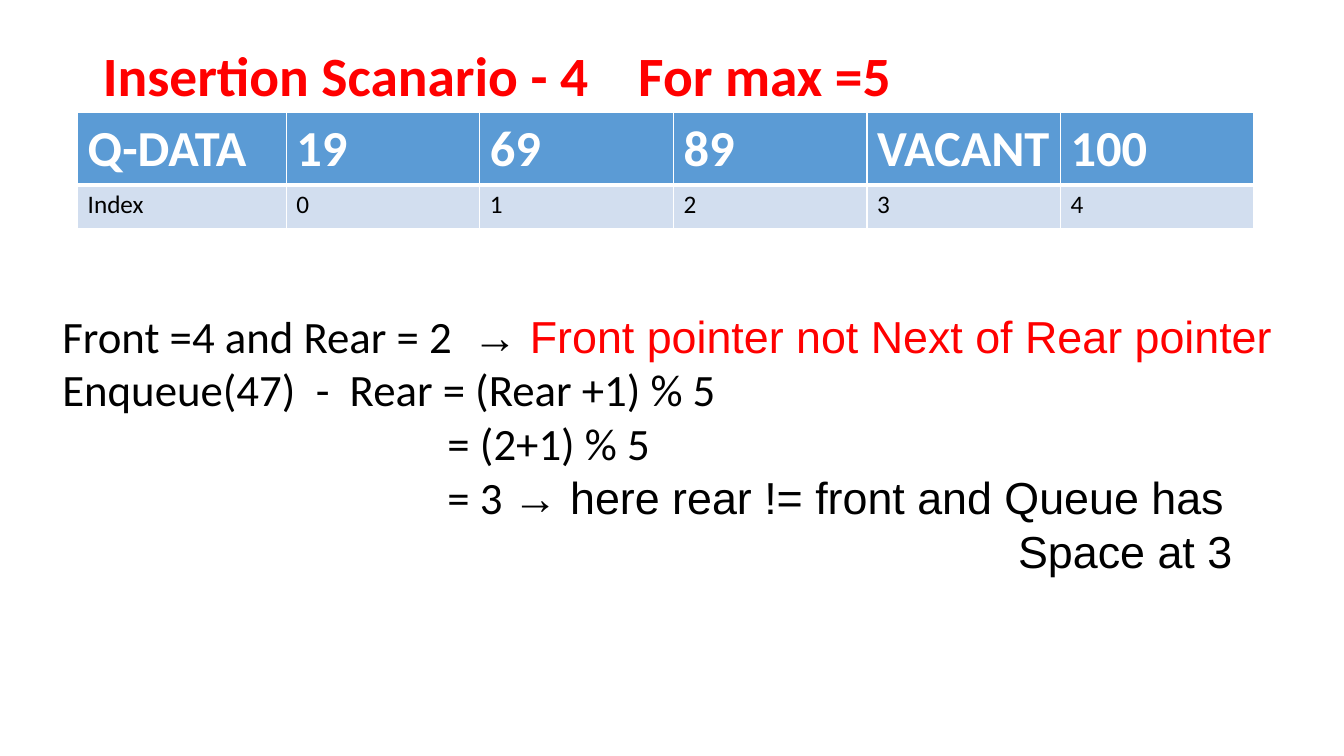
"""Build a slide on inserting into a circular queue."""
from lxml.etree import SubElement
from pptx import Presentation
from pptx.dml.color import RGBColor
from pptx.enum.text import MSO_ANCHOR, MSO_AUTO_SIZE, PP_ALIGN
from pptx.oxml.ns import qn
from pptx.util import Inches, Pt

COLORS = {"red": "FF0000", "black": "000000", "white": "FFFFFF",
          "header": "5B9BD5", "band": "D2DEEF"}
TITLE = "Insertion Scanario - 4\tFor max =5"
TITLE_TAB = 5.31
QUEUE = [["Q-DATA", "19", "69", "89", "VACANT", "100"],
         ["Index", "0", "1", "2", "3", "4"]]
COLUMN_WIDTHS = [2.07] + [1.92] * 5
ROWS = [
    {"height": 0.7, "fill": "header", "color": "white", "size": 36, "bold": True,
     "borders": {"lnL": 1, "lnR": 1, "lnT": 1, "lnB": 3}},
    {"height": 0.44, "fill": "band", "color": "black", "size": 18, "bold": False,
     "borders": {"lnL": 1, "lnR": 1, "lnT": 3, "lnB": 1}},
]
STEPS = [
    (0, [("Front =4 and Rear = 2  ", "Calibri", "black"),
         ("→ ", "Arial", "black"),
         ("Front pointer not Next of Rear pointer", "Arial", "red")]),
    (0, [("Enqueue(47)  -  Rear = (Rear +1) % 5", "Calibri", "black")]),
    (3.82, [("= (2+1) % 5", "Calibri", "black")]),
    (3.82, [("= 3 ", "Calibri", "black"),
            ("→ here rear != front and Queue has", "Arial", "black")]),
    (9.48, [("Space at 3", "Arial", "black")]),
]
TITLE_BOX = (0.92, 0.4, 11.5, 0.75)
TABLE_BOX = (0.77, 1.12, sum(COLUMN_WIDTHS), sum(row["height"] for row in ROWS))
STEPS_BOX = (0.52, 2.48, 12.44, 4.73)
STEPS_TOP_INSET = 0.58


def set_values(target, values):
    for name, value in values.items():
        setattr(target, name, value)


def add_run(paragraph, text, font, color, size, bold=False):
    run = paragraph.add_run()
    run.text = text
    set_values(run.font, {"name": font, "size": Pt(size), "bold": bold})
    run.font.color.rgb = RGBColor.from_string(COLORS[color])


def add_borders(cell, borders):
    properties = cell._tc.get_or_add_tcPr()
    for side, width in borders.items():
        line = SubElement(properties, qn(f"a:{side}"), w=str(Pt(width)))
        fill = SubElement(line, qn("a:solidFill"))
        SubElement(fill, qn("a:srgbClr"), val=COLORS["white"])


def add_title(slide):
    title = slide.shapes.title
    set_values(title, dict(zip(("left", "top", "width", "height"), map(Inches, TITLE_BOX))))
    set_values(title.text_frame, {"vertical_anchor": MSO_ANCHOR.MIDDLE,
                                  "auto_size": MSO_AUTO_SIZE.NONE, "word_wrap": True})
    paragraph = title.text_frame.paragraphs[0]
    set_values(paragraph, {"alignment": PP_ALIGN.LEFT, "line_spacing": 0.9})
    tabs = SubElement(paragraph._p.get_or_add_pPr(), qn("a:tabLst"))
    SubElement(tabs, qn("a:tab"), pos=str(Inches(TITLE_TAB)), algn="l")
    add_run(paragraph, TITLE, "Calibri", "red", 39.6, True)


def add_queue(slide):
    frame = slide.shapes.add_table(len(QUEUE), len(COLUMN_WIDTHS), *map(Inches, TABLE_BOX))
    table = frame.table
    for column, width in zip(table.columns, COLUMN_WIDTHS):
        column.width = Inches(width)
    for row, style, texts in zip(table.rows, ROWS, QUEUE):
        row.height = Inches(style["height"])
        for cell, text in zip(row.cells, texts):
            add_borders(cell, style["borders"])
            cell.fill.solid()
            cell.fill.fore_color.rgb = RGBColor.from_string(COLORS[style["fill"]])
            add_run(cell.text_frame.paragraphs[0], text, "Calibri",
                    style["color"], style["size"], style["bold"])


def add_steps(slide):
    text_frame = slide.shapes.add_textbox(*map(Inches, STEPS_BOX)).text_frame
    set_values(text_frame, {"word_wrap": True, "margin_top": Inches(STEPS_TOP_INSET)})
    for number, (indent, runs) in enumerate(STEPS):
        paragraph = text_frame.add_paragraph() if number else text_frame.paragraphs[0]
        paragraph._p.get_or_add_pPr().set("marL", str(Inches(indent)))
        for text, font, color in runs:
            add_run(paragraph, text, font, color, 32)


def main():
    presentation = Presentation()
    set_values(presentation, {"slide_width": Inches(13.33), "slide_height": Inches(7.5)})
    slide = presentation.slides.add_slide(presentation.slide_layouts[5])
    add_title(slide)
    add_queue(slide)
    add_steps(slide)
    presentation.save("out.pptx")


if __name__ == "__main__":
    main()
